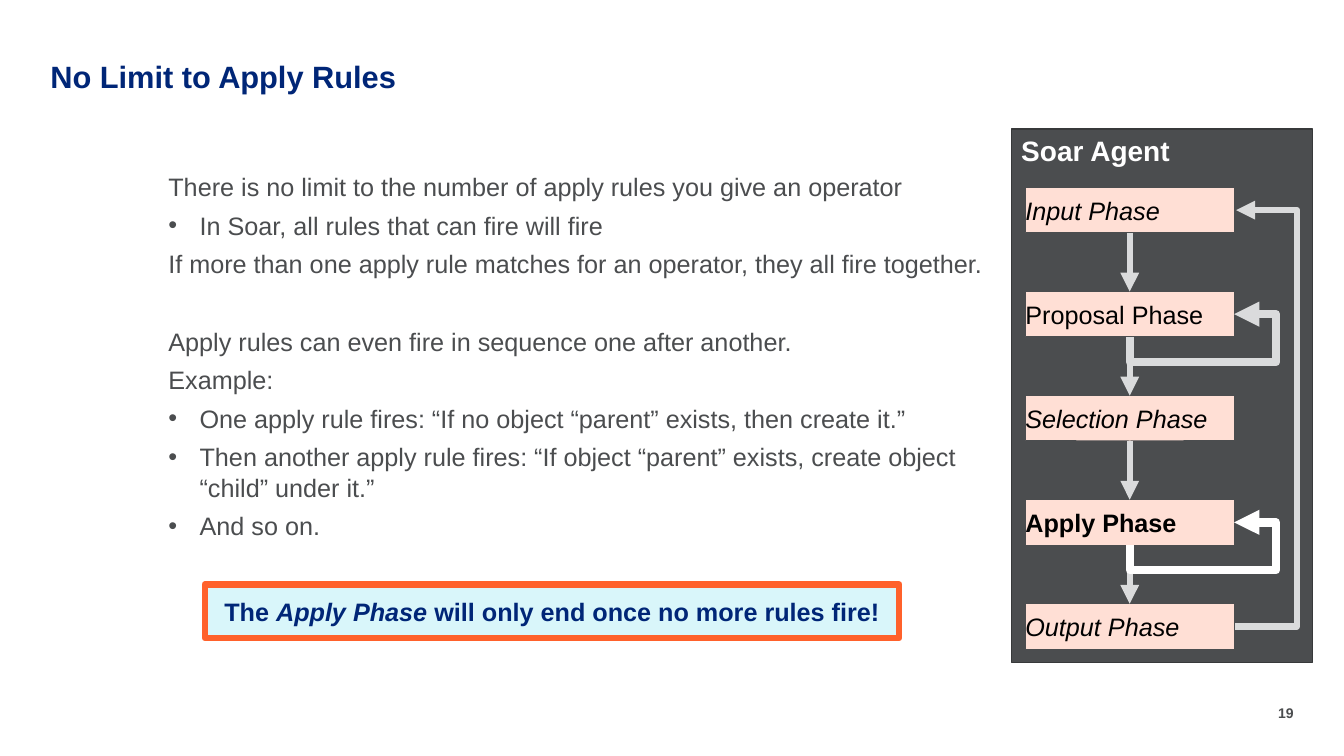
from lxml.etree import SubElement
from pptx import Presentation
from pptx.dml.color import RGBColor
from pptx.enum.shapes import MSO_CONNECTOR, MSO_SHAPE
from pptx.enum.text import MSO_ANCHOR, MSO_AUTO_SIZE, PP_ALIGN
from pptx.oxml.ns import qn
from pptx.util import Inches, Pt

HUES = {"navy": "002677", "gray": "4B4D4F", "edge": "37393A", "pale": "DADBDC",
        "white": "FFFFFF", "black": "000000", "pink": "FFDFD5",
        "sky": "D9F6FA", "orange": "FF612B"}

# text, bulleted, space before in points
LINES = [
    ("There is no limit to the number of apply rules you give an operator", False, 0),
    ("In Soar, all rules that can fire will fire", True, 6),
    ("If more than one apply rule matches for an operator, they all fire together.", False, 6),
    ("Apply rules can even fire in sequence one after another.", False, 33.5),
    ("Example:", False, 6),
    ("One apply rule fires: “If no object “parent” exists, then create it.”", True, 6),
    ("Then another apply rule fires: “If object “parent” exists, "
     "create object “child” under it.”", True, 6),
    ("And so on.", True, 6),
]

# text, bold, italic
PHASES = [("Input Phase", False, True), ("Proposal Phase", False, False),
          ("Selection Phase", False, True), ("Apply Phase", True, False),
          ("Output Phase", False, True)]
LEFT, TOP, WIDE, HIGH = 10.17, 1.86, 2.07, 0.45
STEP = 4.13 / 4
MID, RIGHT = LEFT + WIDE / 2, LEFT + WIDE


def paint(hue):
    return RGBColor.from_string(HUES[hue])


def style(run, size, hue, bold=False, italic=False):
    font = run.font
    font.name, font.size = "Arial", Pt(size)
    font.bold, font.italic = bold, italic
    font.color.rgb = paint(hue)


def place(shape, left, top, wide, high):
    shape.left, shape.top = Inches(left), Inches(top)
    shape.width, shape.height = Inches(wide), Inches(high)


def strip(frame):
    """Remove the insets and hold the frame at its size."""
    frame.margin_left = frame.margin_right = 0
    frame.margin_top = frame.margin_bottom = 0
    frame.auto_size = MSO_AUTO_SIZE.NONE
    frame.vertical_anchor = MSO_ANCHOR.TOP


def indent(para, dot):
    """Set a hanging bullet, or none."""
    props = para._p.get_or_add_pPr()
    hang = Inches(0.31) if dot else 0
    props.set("marL", str(hang))
    props.set("indent", str(-hang))
    if dot:
        SubElement(props, qn("a:buFont")).set("typeface", "Arial")
        SubElement(props, qn("a:buChar")).set("char", "•")
    else:
        SubElement(props, qn("a:buNone"))


def add_box(shapes, spot, fill, line, weight):
    left, top, wide, high = map(Inches, spot)
    box = shapes.add_shape(MSO_SHAPE.RECTANGLE, left, top, wide, high)
    box.shadow.inherit = False
    box.fill.solid()
    box.fill.fore_color.rgb = paint(fill)
    box.line.color.rgb = paint(line)
    box.line.width = Pt(weight)
    box.text_frame.word_wrap = True
    box.text_frame.vertical_anchor = MSO_ANCHOR.MIDDLE
    box.text_frame.paragraphs[0].alignment = PP_ALIGN.CENTER
    return box


def add_arrow(shapes, kind, start, end, hue, weight):
    arrow = shapes.add_connector(kind, *map(Inches, start + end))
    arrow.line.color.rgb = paint(hue)
    arrow.line.width = Pt(weight)
    SubElement(arrow.line._get_or_add_ln(), qn("a:tailEnd")).set("type", "triangle")
    SubElement(arrow._element.spPr, qn("a:effectLst"))
    return arrow


def bend(arrow, preset, *ratios):
    """Set the preset of an elbow arrow and where it turns."""
    shape = arrow._element.spPr.find(qn("a:prstGeom"))
    shape.set("prst", preset)
    guides = shape.find(qn("a:avLst"))
    if guides is None:
        guides = SubElement(shape, qn("a:avLst"))
    for num, ratio in enumerate(ratios, 1):
        guide = SubElement(guides, qn("a:gd"))
        guide.set("name", f"adj{num}" if len(ratios) > 1 else "adj1")
        guide.set("fmla", f"val {round(ratio * 100000)}")


def add_loop(shapes, row, hue):
    """Lead an arrow from below a phase back to its right side."""
    rise, run, drop, reach = HIGH / 2, WIDE / 2, 0.25, 1.45
    low = TOP + row * STEP + HIGH
    # the frame is turned a quarter about the centre of the span
    left = MID + (run - rise) / 2
    top = low - (rise + run) / 2
    arrow = add_arrow(shapes, MSO_CONNECTOR.ELBOW, (left, top),
                      (left + rise, top + run), hue, 6)
    frame = arrow._element.spPr.find(qn("a:xfrm"))
    for name, value in (("rot", "5400000"), ("flipH", "1"), ("flipV", "1")):
        frame.set(name, value)
    bend(arrow, "bentConnector4", -drop / rise, reach / run)


def add_agent(slide):
    shapes = slide.shapes.add_group_shape().shapes
    panel = add_box(shapes, (10.03, 1.28, 2.99, 5.29), "gray", "edge", 1)
    panel.text_frame.vertical_anchor = MSO_ANCHOR.TOP
    panel.text_frame.text = "Soar Agent"
    style(panel.text_frame.paragraphs[0].runs[0], 20, "white", True)

    gap = 0.02
    first = TOP + HIGH / 2
    cycle = add_arrow(shapes, MSO_CONNECTOR.ELBOW, (RIGHT, first + 4 * STEP),
                      (RIGHT + gap, first), "pale", 4.5)
    bend(cycle, "bentConnector3", 0.62 / gap)

    boxes = []
    for row, (text, bold, italic) in enumerate(PHASES):
        box = add_box(shapes, (LEFT, TOP + row * STEP, WIDE, HIGH), "pink", "gray", 0.75)
        strip(box.text_frame)
        box.text_frame.vertical_anchor = MSO_ANCHOR.MIDDLE
        box.text_frame.text = text
        style(box.text_frame.paragraphs[0].runs[0], 18, "black", bold, italic)
        boxes.append(box)
    for row, (upper, lower) in enumerate(zip(boxes, boxes[1:])):
        top = TOP + row * STEP
        arrow = add_arrow(shapes, MSO_CONNECTOR.STRAIGHT, (MID, top + HIGH),
                          (MID, top + STEP), "pale", 4.5)
        arrow.begin_connect(upper, 2)
        arrow.end_connect(lower, 0)
    add_loop(shapes, 3, "white")
    add_loop(shapes, 1, "pale")


def add_title(slide):
    title = slide.shapes.title
    place(title, 0.5, 0.61, 10.5, 0.33)
    strip(title.text_frame)
    title.text_frame.text = "No Limit to Apply Rules"
    para = title.text_frame.paragraphs[0]
    para.alignment, para.line_spacing = PP_ALIGN.LEFT, 0.9
    style(para.runs[0], 22, "navy", True)


def add_body(slide):
    body = slide.placeholders[1]
    place(body, 1.67, 1.7, 8.23, 3.89)
    frame = body.text_frame
    strip(frame)
    frame.text = "\n".join(text for text, _, _ in LINES)
    for para, (_, dot, space) in zip(frame.paragraphs, LINES):
        indent(para, dot)
        para.space_before = Pt(space)
        style(para.runs[0], 18, "gray")


def add_note(slide):
    note = add_box(slide.shapes, (2.03, 5.8, 6.89, 0.53), "sky", "orange", 4.5)
    para = note.text_frame.paragraphs[0]
    for text, italic in (("The ", False), ("Apply Phase ", True),
                         ("will only end once no more rules fire!", False)):
        run = para.add_run()
        run.text = text
        style(run, 18, "navy", True, italic)


def add_page(slide):
    page = slide.shapes.add_textbox(*map(Inches, (12.66, 6.99, 0.17, 0.17)))
    strip(page.text_frame)
    page.text_frame.word_wrap = False
    page.text_frame.text = "19"
    para = page.text_frame.paragraphs[0]
    para.alignment = PP_ALIGN.RIGHT
    style(para.runs[0], 10, "gray", True)


def main():
    deck = Presentation()
    deck.slide_width, deck.slide_height = Inches(13.33), Inches(7.5)
    slide = deck.slides.add_slide(deck.slide_layouts[1])
    add_page(slide)
    add_title(slide)
    add_body(slide)
    add_agent(slide)
    add_note(slide)
    deck.save("out.pptx")


if __name__ == "__main__":
    main()
